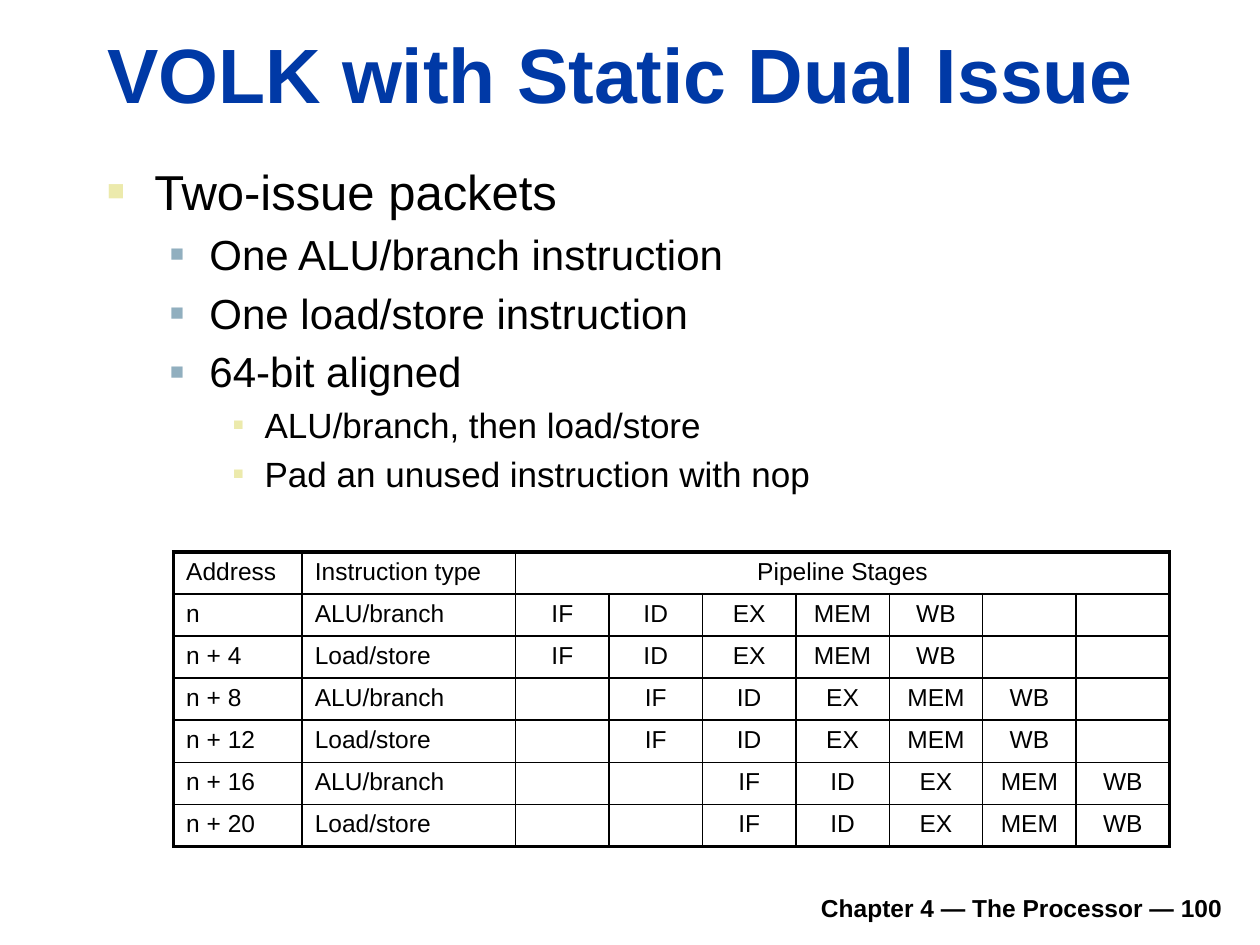
from lxml import etree
from pptx import Presentation
from pptx.dml.color import RGBColor
from pptx.enum.text import MSO_ANCHOR, MSO_AUTO_SIZE, PP_ALIGN
from pptx.oxml.ns import qn
from pptx.util import Pt

LEFT, CENTER, RIGHT = PP_ALIGN.LEFT, PP_ALIGN.CENTER, PP_ALIGN.RIGHT
BOTTOM = MSO_ANCHOR.BOTTOM
NO_AUTOFIT = MSO_AUTO_SIZE.NONE

FONT = "Arial"
COLORS = {
    "title": "0039A6",
    "text": "000000",
    "cream": "ECEAAC",
    "steel": "91AFBF",
    "border": "000000",
}

LEVELS = [
    {"size": 28, "margin": 27, "hanging": 27, "bullet": "cream", "percent": 60},
    {"size": 24, "margin": 58.5, "hanging": 22.5, "bullet": "steel", "percent": 55},
    {"size": 20, "margin": 90, "hanging": 18, "bullet": "cream", "percent": 50},
]
POINTS = [
    (0, "Two-issue packets"),
    (1, "One ALU/branch instruction"),
    (1, "One load/store instruction"),
    (1, "64-bit aligned"),
    (2, "ALU/branch, then load/store"),
    (2, "Pad an unused instruction with nop"),
]

STAGES = ["IF", "ID", "EX", "MEM", "WB"]
HEADINGS = ["Address", "Instruction type", "Pipeline Stages"]
INSTRUCTION_TYPES = ["ALU/branch", "Load/store"]
INSTRUCTION_COUNT = 6
COLUMN_WIDTHS = [73.5, 122] + [53.4] * 7
ROW_HEIGHT = 21
FIRST_STAGE_COLUMN = 2
OUTER, HEADER_RULE, INNER = 2.25, 1.5, 1


def write_text(paragraph, text, size=14, color="text", bold=False, align=LEFT):
    paragraph.alignment = align
    if not text:
        etree.SubElement(paragraph._p, qn("a:endParaRPr"), sz=str(size * 100))
        return
    run = paragraph.add_run()
    run.text = text
    run.font.name = FONT
    run.font.size = Pt(size)
    run.font.bold = bold
    run.font.color.rgb = RGBColor.from_string(COLORS[color])


def place(shape, box):
    shape.left, shape.top, shape.width, shape.height = [Pt(value) for value in box]


def add_bullet(paragraph, level):
    properties = paragraph._p.get_or_add_pPr()
    properties.set("marL", str(Pt(level["margin"])))
    properties.set("indent", str(-Pt(level["hanging"])))
    color = etree.SubElement(properties, qn("a:buClr"))
    etree.SubElement(color, qn("a:srgbClr"), val=COLORS[level["bullet"]])
    etree.SubElement(properties, qn("a:buSzPct"), val=str(level["percent"] * 1000))
    etree.SubElement(properties, qn("a:buFont"), typeface=FONT)
    etree.SubElement(properties, qn("a:buChar"), char="■")


def fill_title(slide, box):
    title = slide.shapes.title
    place(title, box)
    frame = title.text_frame
    frame.auto_size = NO_AUTOFIT
    frame.vertical_anchor = BOTTOM
    write_text(frame.paragraphs[0], "VOLK with Static Dual Issue",
               size=44, color="title", bold=True)


def fill_body(slide, box):
    body = slide.placeholders[1]
    place(body, box)
    frame = body.text_frame
    frame.auto_size = NO_AUTOFIT
    for index, (depth, text) in enumerate(POINTS):
        paragraph = frame.add_paragraph() if index else frame.paragraphs[0]
        paragraph.level = depth
        add_bullet(paragraph, LEVELS[depth])
        write_text(paragraph, text, size=LEVELS[depth]["size"])


def pipeline_rows():
    stage_columns = len(COLUMN_WIDTHS) - FIRST_STAGE_COLUMN
    rows = [HEADINGS + [""] * (stage_columns - 1)]
    for index in range(INSTRUCTION_COUNT):
        address = f"n + {4 * index}" if index else "n"
        delay = index // 2
        idle = stage_columns - len(STAGES) - delay
        rows.append([address, INSTRUCTION_TYPES[index % 2]]
                    + [""] * delay + STAGES + [""] * idle)
    return rows


def horizontal_rule(edge, row_count):
    if edge in (0, row_count):
        return OUTER
    return HEADER_RULE if edge == 1 else INNER


def set_borders(cell, widths):
    properties = cell._tc.get_or_add_tcPr()
    for side, width in widths.items():
        line = etree.SubElement(properties, qn(f"a:ln{side}"), w=str(Pt(width)))
        fill = etree.SubElement(line, qn("a:solidFill"))
        etree.SubElement(fill, qn("a:srgbClr"), val=COLORS["border"])


def add_pipeline_table(slide, box):
    rows = pipeline_rows()
    row_count, column_count = len(rows), len(COLUMN_WIDTHS)
    graphic_frame = slide.shapes.add_table(
        row_count, column_count, *[Pt(value) for value in box])
    table = graphic_frame.table
    table.first_row = False
    table.horz_banding = False
    for column, width in zip(table.columns, COLUMN_WIDTHS):
        column.width = Pt(width)
    for row in table.rows:
        row.height = Pt(ROW_HEIGHT)
    table.cell(0, FIRST_STAGE_COLUMN).merge(table.cell(0, column_count - 1))

    for row_index, row in enumerate(rows):
        for column_index, text in enumerate(row):
            cell = table.cell(row_index, column_index)
            align = CENTER if column_index >= FIRST_STAGE_COLUMN else LEFT
            write_text(cell.text_frame.paragraphs[0], text, align=align)
            last_column = column_index + (cell.span_width if cell.is_merge_origin else 1)
            set_borders(cell, {
                "L": INNER if column_index else OUTER,
                "R": OUTER if last_column == column_count else INNER,
                "T": horizontal_rule(row_index, row_count),
                "B": horizontal_rule(row_index + 1, row_count),
            })
            cell.fill.background()
    place(graphic_frame, box)


def add_footer(slide, box):
    footer = slide.shapes.add_textbox(*[Pt(value) for value in box])
    frame = footer.text_frame
    frame.word_wrap = True
    frame.vertical_anchor = BOTTOM
    write_text(frame.paragraphs[0], "Chapter 4 — The Processor — 100",
               bold=True, align=RIGHT)


def main():
    presentation = Presentation()
    presentation.slide_width = Pt(720)
    presentation.slide_height = Pt(540)
    slide = presentation.slides.add_slide(presentation.slide_layouts[1])
    add_footer(slide, (133.2, 502.5, 572.4, 28))
    fill_title(slide, (54, 11.5, 650, 60))
    fill_body(slide, (54, 88.5, 651.6, 217.5))
    add_pipeline_table(slide, (99.2, 315.4, 569.3, 167.8))
    presentation.save("out.pptx")


if __name__ == "__main__":
    main()
